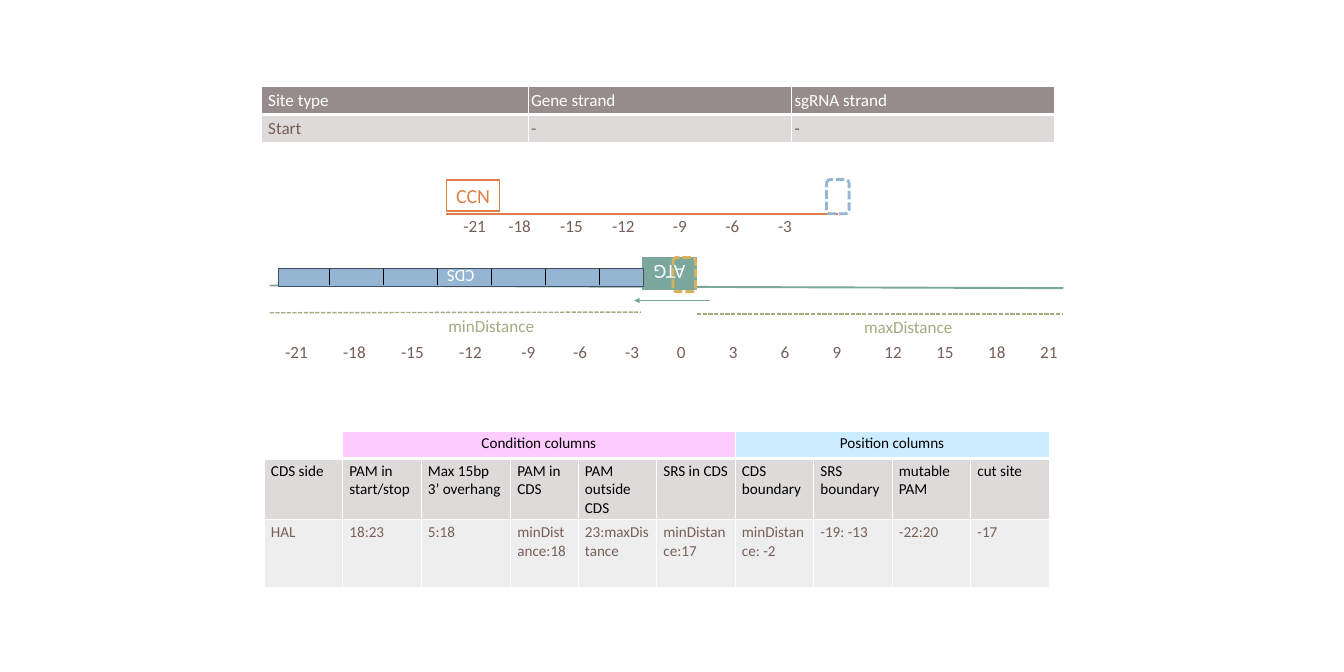
from lxml.etree import SubElement
from pptx import Presentation
from pptx.dml.color import RGBColor
from pptx.enum.dml import MSO_LINE
from pptx.enum.shapes import MSO_CONNECTOR, MSO_SHAPE
from pptx.enum.text import MSO_ANCHOR, PP_ALIGN
from pptx.oxml.ns import qn
from pptx.util import Inches, Pt

COLUMNS, ROWS = 19.69, 9.84
WHITE, BLACK, BROWN = "FFFFFF", "000000", "775F55"
GREEN, BLUE, ORANGE = "7BA79D", "94B6D2", "DD8047"
OLIVE, GOLD, NAVY = "A5AB81", "D8B25C", "41505C"
TAUPE, GREY, PALE = "968C8C", "DDDADA", "EFEEEE"
PINK, SKY = "FFCCFF", "CCECFF"


def rgb(color):
    return RGBColor.from_string(color)


class StrandSlide:
    font = "Calibri"
    cell = Inches(1)

    def __init__(self, deck):
        self.shapes = deck.slides.add_slide(deck.slide_layouts[6]).shapes

    def grid(self, *lengths):
        return [round(length * self.cell) for length in lengths]

    def add_words(self, frame, words, size, color, align=PP_ALIGN.LEFT):
        frame.word_wrap = True
        paragraph = frame.paragraphs[0]
        paragraph.alignment = align
        run = paragraph.add_run()
        run.text = words
        run.font.name = self.font
        run.font.size = Pt(size)
        run.font.color.rgb = rgb(color)

    def stroke(self, line, color, weight, dashed=False):
        line.color.rgb = rgb(color)
        line.width = Pt(weight)
        if dashed:
            line.dash_style = MSO_LINE.SQUARE_DOT

    def label(self, words, left, top, width, color=BROWN):
        box = self.shapes.add_textbox(*self.grid(left, top, width, 0.4))
        self.add_words(box.text_frame, words, 18, color)

    def block(self, place, color, weight, fill=None, words="", size=18,
              ink=WHITE, turn=0, dashed=False):
        kind = MSO_SHAPE.ROUNDED_RECTANGLE if dashed else MSO_SHAPE.RECTANGLE
        block = self.shapes.add_shape(kind, *self.grid(*place))
        block.shadow.inherit = False
        block.rotation = turn
        if fill:
            block.fill.solid()
            block.fill.fore_color.rgb = rgb(fill)
        else:
            block.fill.background()
        self.stroke(block.line, color, weight, dashed)
        if words:
            block.text_frame.vertical_anchor = MSO_ANCHOR.MIDDLE
            self.add_words(block.text_frame, words, size, ink, PP_ALIGN.CENTER)

    def rule(self, start, end, color, weight, dashed=False, arrow=False):
        rule = self.shapes.add_connector(
            MSO_CONNECTOR.STRAIGHT, *self.grid(*start, *end))
        self.stroke(rule.line, color, weight, dashed)
        properties = rule._element.spPr
        if arrow:
            SubElement(properties.find(qn("a:ln")), qn("a:tailEnd"),
                       type="triangle")
        SubElement(properties, qn("a:effectLst"))

    def table(self, left, top, widths, heights):
        table = self.shapes.add_table(
            len(heights), len(widths),
            *self.grid(left, top, sum(widths), sum(heights))).table
        table.first_row = table.horz_banding = False
        for column, width in zip(table.columns, self.grid(*widths)):
            column.width = width
        for row, height in zip(table.rows, self.grid(*heights)):
            row.height = height
        for index, row in enumerate(table.rows):
            for cell in row.cells:
                self.borders(cell, 1 if index else 3)
                cell.fill.background()
        return table

    def borders(self, cell, bottom):
        properties = cell._tc.get_or_add_tcPr()
        for side, weight in zip("LRTB", (1, 1, 1, bottom)):
            edge = SubElement(properties, qn(f"a:ln{side}"), w=str(Pt(weight)))
            paint = SubElement(edge, qn("a:solidFill"))
            SubElement(paint, qn("a:srgbClr"), val=WHITE)

    def entry(self, cell, words, size, color, fill, align=PP_ALIGN.LEFT):
        cell.fill.solid()
        cell.fill.fore_color.rgb = rgb(fill)
        self.add_words(cell.text_frame, words, size, color, align)


def site_tables(slide):
    sites = [(11.54, "sgRNA strand", "-"), (7.68, "Gene strand", "-"),
             (3.83, "Site type", "Start")]
    for left, heading, value in sites:
        site = slide.table(left, 1.27, [3.91], [0.41, 0.41])
        slide.entry(site.cell(0, 0), heading, 18, WHITE, TAUPE)
        slide.entry(site.cell(1, 0), value, 18, BROWN, GREY)


def scale(slide, positions, left, step, top, width):
    for index, position in enumerate(positions):
        slide.label(str(position), left + step * index, top, width)


def guide_strand(slide):
    slide.rule((6.54, 3.13), (12.28, 3.13), ORANGE, 2)
    slide.block((6.54, 2.64, 0.78, 0.45), ORANGE, 1.75,
                words="CCN", size=21, ink=ORANGE)
    slide.block((12.11, 2.63, 0.33, 0.5), BLUE, 3, dashed=True)
    scale(slide, [-21], 6.69, 0, 3.11, 0.57)
    scale(slide, [-18, -15, -12], 7.35, 0.76, 3.11, 0.6)
    scale(slide, [-9, -6, -3], 9.76, 0.77, 3.11, 0.47)


def gene_strand(slide):
    slide.rule((3.95, 4.18), (15.58, 4.22), GREEN, 2)
    slide.block((9.41, 3.77, 0.8, 0.47), GREEN, 1, GREEN, "ATG", 21, turn=180)
    slide.rule((10.4, 4.4), (9.29, 4.4), GREEN, 1.75, arrow=True)
    slide.block((9.86, 3.77, 0.33, 0.5), GOLD, 3, dashed=True)
    slide.block((4.08, 3.93, 5.34, 0.26), NAVY, 1, BLUE, "CDS", turn=180)
    for codon in range(6):
        edge = 4.83 + 0.79 * codon
        slide.rule((edge, 4.18), (edge, 3.94), BLACK, 0.5)
    slide.rule((3.95, 4.58), (9.39, 4.57), OLIVE, 1.5, dashed=True)
    slide.rule((10.21, 4.6), (15.58, 4.6), OLIVE, 1.5, dashed=True)
    slide.label("minDistance", 6.47, 4.57, 1.68, OLIVE)
    slide.label("maxDistance", 12.56, 4.58, 1.68, OLIVE)
    scale(slide, range(-21, -9, 3), 4.08, 0.85, 4.95, 0.6)
    scale(slide, range(-9, 22, 3), 7.54, 0.76, 4.95, 0.47)


def rules_table(slide):
    widths = [1.15, 1.15, 1.31, 0.99] + [1.15] * 6
    rules = slide.table(3.87, 6.31, widths, [0.4, 0.9, 0.99])
    groups = [(1, 5, "Condition columns", PINK), (6, 9, "Position columns", SKY)]
    for first, last, heading, fill in groups:
        rules.cell(0, first).merge(rules.cell(0, last))
        slide.entry(rules.cell(0, first), heading, 16, BLACK, fill,
                    PP_ALIGN.CENTER)
    conditions = [
        ("CDS side", "HAL"),
        ("PAM in start/stop", "18:23"),
        ("Max 15bp 3’ overhang", "5:18"),
        ("PAM in CDS", "minDistance:18"),
        ("PAM outside CDS", "23:maxDistance"),
        ("SRS in CDS", "minDistance:17"),
        ("CDS boundary", "minDistance: -2"),
        ("SRS boundary", "-19: -13"),
        ("mutable PAM", "-22:20"),
        ("cut site", "-17"),
    ]
    for column, (heading, value) in enumerate(conditions):
        slide.entry(rules.cell(1, column), heading, 16, BLACK, GREY)
        slide.entry(rules.cell(2, column), value, 16, BROWN, PALE)


def main():
    deck = Presentation()
    deck.slide_width = Inches(COLUMNS)
    deck.slide_height = Inches(ROWS)
    slide = StrandSlide(deck)
    site_tables(slide)
    guide_strand(slide)
    gene_strand(slide)
    rules_table(slide)
    deck.save("out.pptx")


if __name__ == "__main__":
    main()
